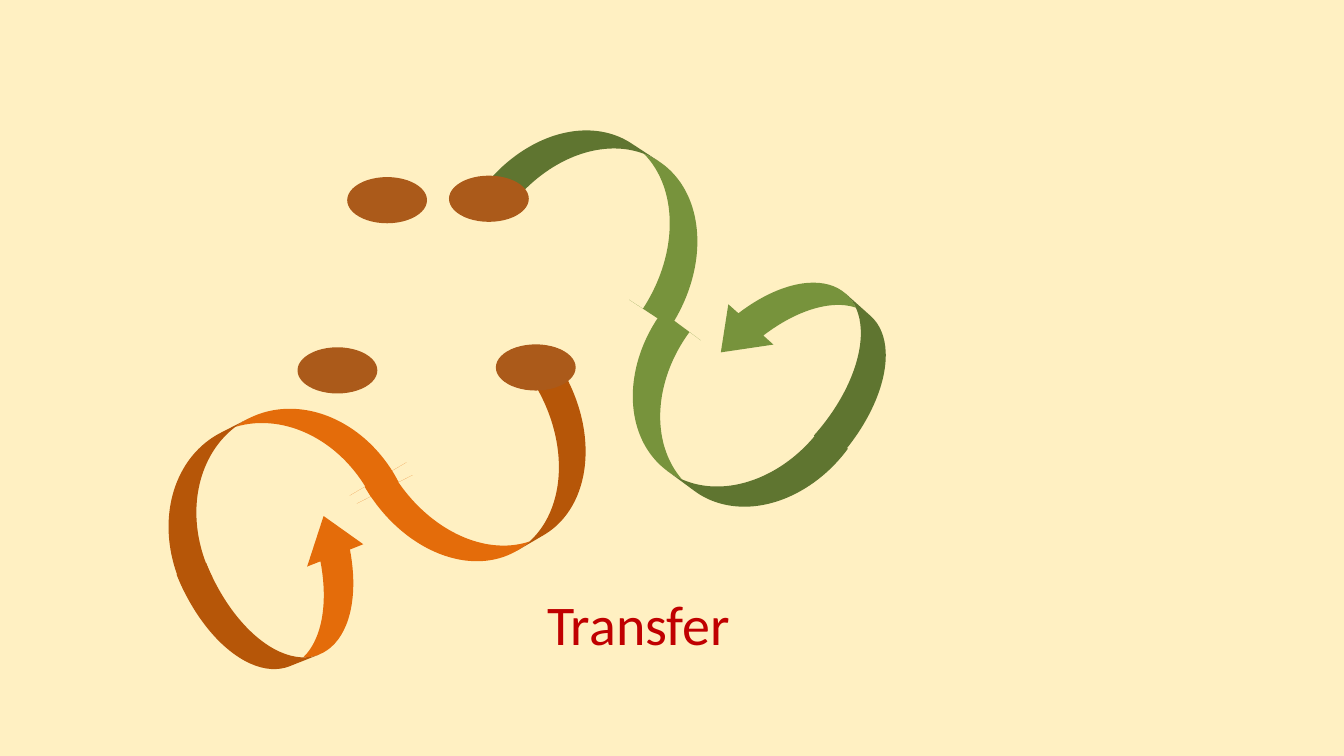
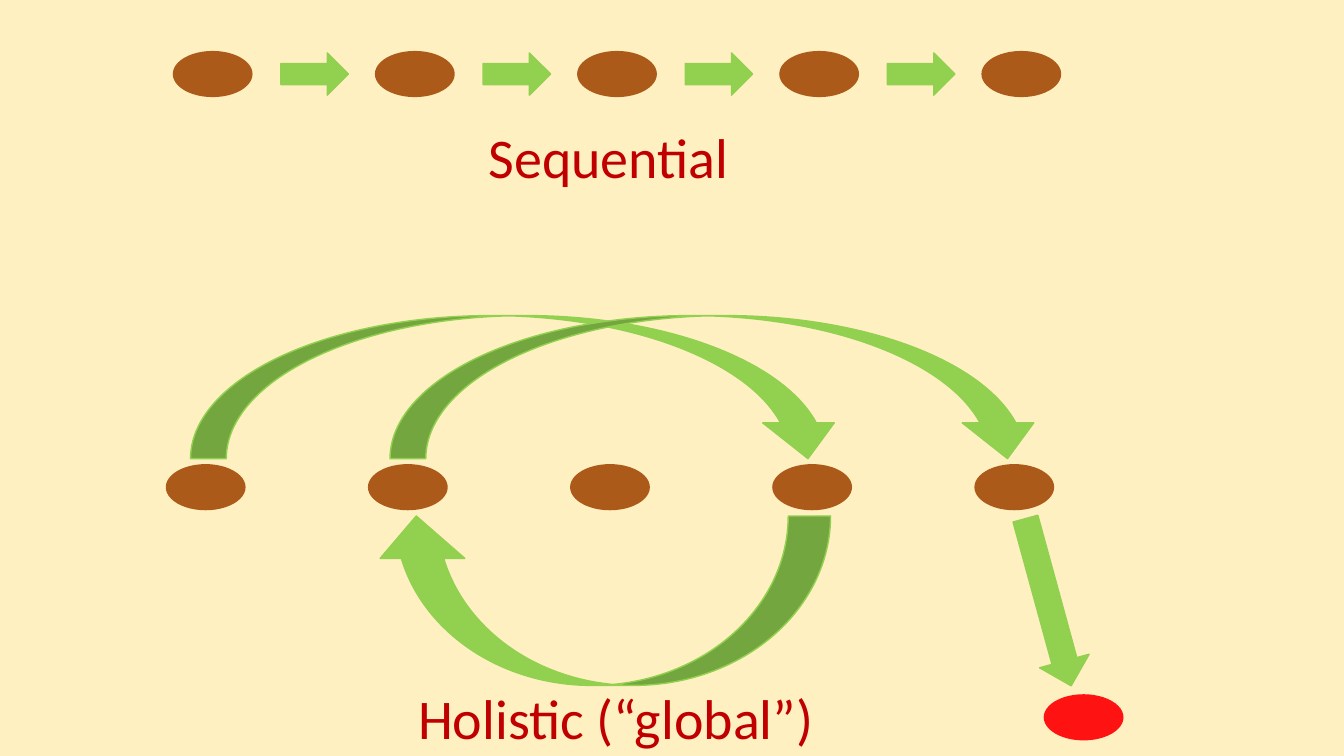
"""Two slides on transfer, sequential and holistic learning."""
from pptx import Presentation
from pptx.dml.color import RGBColor
from pptx.enum.shapes import MSO_SHAPE
from pptx.enum.text import MSO_AUTO_SIZE
from pptx.oxml.ns import qn
from pptx.util import Pt

OVAL = MSO_SHAPE.OVAL
RIGHT_ARROW = MSO_SHAPE.RIGHT_ARROW
CURVED_UP = MSO_SHAPE.CURVED_UP_ARROW
CURVED_DOWN = MSO_SHAPE.CURVED_DOWN_ARROW
GROW_TO_TEXT = MSO_AUTO_SIZE.SHAPE_TO_FIT_TEXT

SLIDE_WIDTH, SLIDE_HEIGHT = 960, 540
BLANK_LAYOUT = 6
CREAM, BROWN, RED, DARK_RED = "FFF0C2", "AB5A1A", "FF1212", "C00000"
MOSS, ORANGE, LIME = "77933C", "E46C0A", "92D050"
FONT, CAPTION_SIZE, CAPTION_HEIGHT = "Calibri", 40, 55.5

OVAL_WIDTH, OVAL_HEIGHT = 57, 33
OVAL_COUNT, OVAL_STEP = 5, 144.4
ARROW_WIDTH, ARROW_HEIGHT = 48.2, 30.2

# Each ribbon part: box within the region, rotation, flips, adjustments
GREEN_RIBBON = (
    ((0.6, 0.4, 178.6, 94.3), 33.2, "V", (0.25, 0.5, 0)),
    ((71.2, 155.9, 175, 89.3), 216.4, "V", (0.272, 0.5, 0)),
    ((161.9, 99, 134.6, 90.7), 221.8, "", (0.263, 0.476, 0.322)),
)
ORANGE_RIBBON = (
    ((160.4, 7.1, 176.4, 94.3), 149.7, "V", (0.234, 0.5, 0)),
    ((0.5, 0.6, 182.9, 89.3), 332.9, "V", (0.25, 0.5, 0)),
    ((37.2, 86.3, 134.6, 90.7), 338.3, "", (0.25, 0.476, 0.322)),
)


def color(hex_value):
    """Turn a hex string into a colour."""
    return RGBColor.from_string(hex_value)


def add_figure(slide, kind, box, fill, line=None, rotation=0, flips="", adjustments=()):
    """Draw a preset shape in a box of points; flips holds H, V or both."""
    shape = slide.shapes.add_shape(kind, *(Pt(length) for length in box))
    shape.shadow.inherit = False
    shape.fill.solid()
    shape.fill.fore_color.rgb = color(fill)
    if line:
        shape.line.color.rgb = color(line)
        shape.line.width = Pt(1)
    else:
        shape.line.fill.background()
    shape.rotation = rotation
    transform = shape._element.spPr.find(qn("a:xfrm"))
    for axis in flips:
        transform.set("flip" + axis, "1")
    for index, value in enumerate(adjustments):
        shape.adjustments[index] = value


def add_oval(slide, center_x, center_y, fill=BROWN):
    """Draw a step oval around its centre."""
    box = (center_x - OVAL_WIDTH / 2, center_y - OVAL_HEIGHT / 2, OVAL_WIDTH, OVAL_HEIGHT)
    add_figure(slide, OVAL, box, fill)


def add_oval_row(slide, left, center_y):
    """Draw equally spaced ovals from the left edge of the row."""
    for index in range(OVAL_COUNT):
        add_oval(slide, left + OVAL_WIDTH / 2 + index * OVAL_STEP, center_y)


def add_caption(slide, left, top, width, text):
    """Write a large red caption."""
    caption = slide.shapes.add_textbox(Pt(left), Pt(top), Pt(width), Pt(CAPTION_HEIGHT))
    frame = caption.text_frame
    frame.word_wrap = False
    frame.auto_size = GROW_TO_TEXT
    paragraph = frame.paragraphs[0]
    paragraph.text = text
    paragraph.font.name = FONT
    paragraph.font.size = Pt(CAPTION_SIZE)
    paragraph.font.color.rgb = color(DARK_RED)


def add_ribbon(slide, left, top, parts, fill):
    """Chain curved arrows into one winding ribbon."""
    for (x, y, width, height), rotation, flips, adjustments in parts:
        add_figure(slide, CURVED_UP, (left + x, top + y, width, height), fill,
                   rotation=rotation, flips=flips, adjustments=adjustments)


def add_sequential(slide, left, top):
    """Draw ovals joined one after another, with the caption below."""
    center_y = top + OVAL_HEIGHT / 2
    add_oval_row(slide, left, center_y)
    for index in range(OVAL_COUNT - 1):
        arrow_left = left + 77.3 + index * OVAL_STEP
        box = (arrow_left, center_y - ARROW_HEIGHT / 2, ARROW_WIDTH, ARROW_HEIGHT)
        add_figure(slide, RIGHT_ARROW, box, LIME, LIME)
    add_caption(slide, left + 218.5, top + 47.8, 188, "Sequential")


def add_holistic(slide, left, top):
    """Draw ovals linked by leaps forward, back and out of the row."""
    add_oval_row(slide, left, top + 122.6)
    for arc_left in (17.7, 160.2):
        add_figure(slide, CURVED_DOWN, (left + arc_left, top, 466.6, 102.2), LIME, LIME)
    add_figure(slide, CURVED_DOWN, (left + 148.7, top + 143.2, 326.2, 121), LIME, LIME,
               flips="HV")
    add_figure(slide, RIGHT_ARROW, (left + 568.5, top + 186.4, 123.8, 36.7), LIME, LIME,
               rotation=74.7)
    add_oval(slide, left + 655.6, top + 287, RED)
    add_caption(slide, left + 173.2, top + 259.2, 298.8, "Holistic (“global”)")


def build_transfer_slide(slide):
    """Show two ribbons leaving pairs of ovals."""
    add_ribbon(slide, 350, 104, GREEN_RIBBON, MOSS)
    add_ribbon(slide, 101, 296, ORANGE_RIBBON, ORANGE)
    for center in ((349.2, 142), (276.5, 143), (382.7, 262.5), (241, 264.6)):
        add_oval(slide, *center)
    add_caption(slide, 383.8, 417.6, 146.9, "Transfer")


def build_order_slide(slide):
    """Contrast sequential with holistic order."""
    add_sequential(slide, 123.4, 36.4)
    add_holistic(slide, 118.4, 225.4)


def main():
    """Build and save the presentation."""
    presentation = Presentation()
    presentation.slide_width = Pt(SLIDE_WIDTH)
    presentation.slide_height = Pt(SLIDE_HEIGHT)
    background = presentation.slide_master.background.fill
    background.solid()
    background.fore_color.rgb = color(CREAM)
    for build in (build_transfer_slide, build_order_slide):
        build(presentation.slides.add_slide(presentation.slide_layouts[BLANK_LAYOUT]))
    presentation.save("out.pptx")


main()
